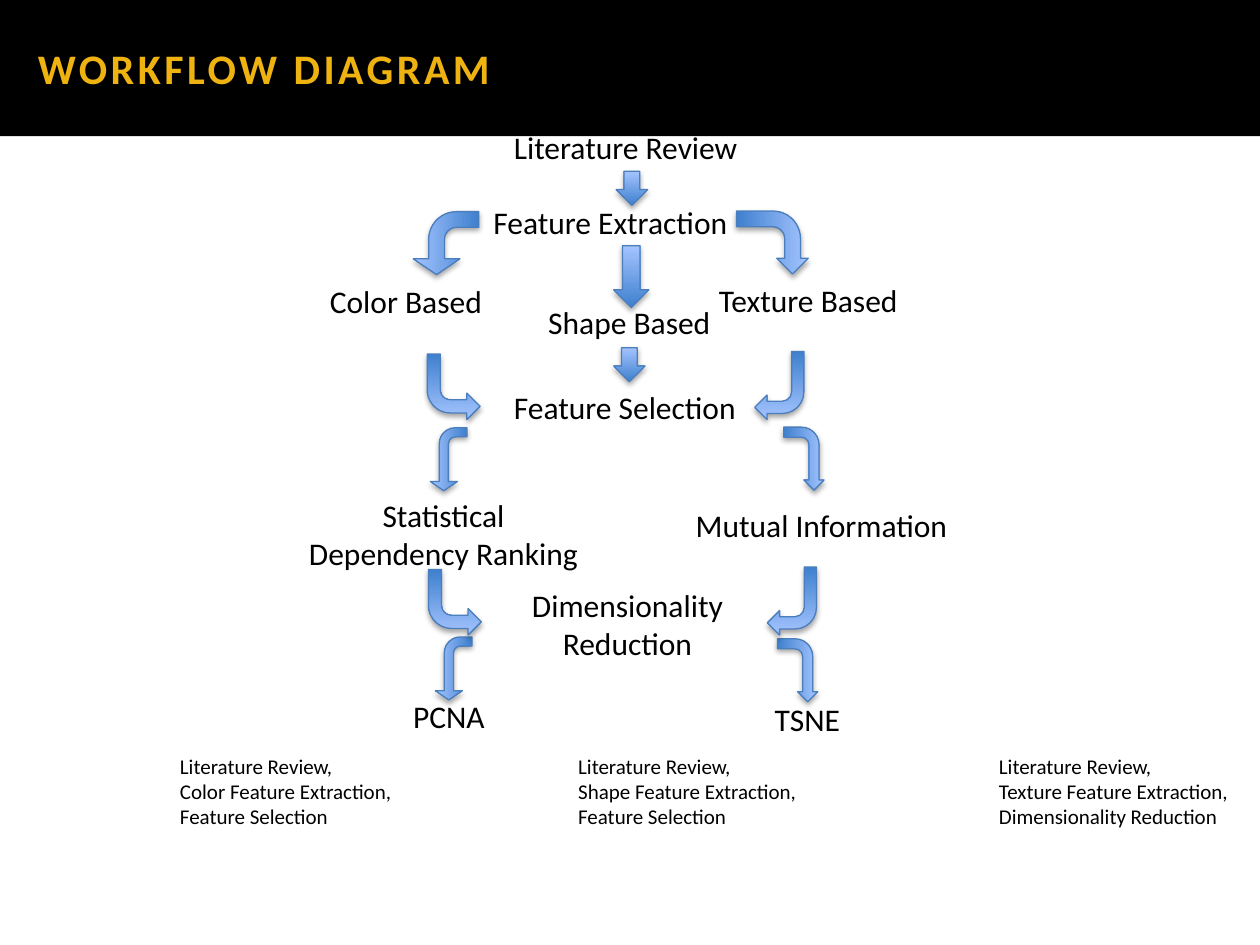
from lxml.etree import SubElement
from pptx import Presentation
from pptx.dml.color import RGBColor
from pptx.enum.shapes import MSO_SHAPE
from pptx.enum.text import MSO_ANCHOR, MSO_AUTO_SIZE, PP_ALIGN
from pptx.oxml.ns import qn
from pptx.util import Inches, Pt

PX = Inches(1) // 100
COLORS = {"bar": "000000", "title": "EEB211", "text": "000000", "shadow": "000000",
          "arrow_dark": "3F80CE", "arrow_light": "A4C4FF", "arrow_line": "4B7EBC"}
LEFT, CENTER = PP_ALIGN.LEFT, PP_ALIGN.CENTER

# Text, alignment and box within the diagram
NODES = [
    ("Literature Review", LEFT, (174, 0, 205, 40)),
    ("Feature Extraction", CENTER, (142, 59, 237, 40)),
    ("Color Based", LEFT, (28, 122, 147, 40)),
    ("Shape Based", CENTER, (197, 139, 157, 40)),
    ("Texture Based", CENTER, (330, 121, 175, 40)),
    ("Feature Selection", LEFT, (174, 206, 202, 40)),
    ("Statistical\nDependency Ranking", CENTER, (0, 292, 256, 71)),
    ("Mutual Information", CENTER, (296, 300, 264, 40)),
    ("Dimensionality Reduction", CENTER, (173, 363, 202, 71)),
    ("PCNA", LEFT, (94, 451, 90, 40)),
    ("TSNE", LEFT, (381, 454, 90, 40)),
]

# Arrow style and its boxes within the diagram
ARROWS = {
    "down": [(265, 39, 25, 27), (263, 98, 28, 49), (263, 179, 25, 27)],
    "split_left": [(105, 70, 50, 52), (107, 253, 50, 29), (111, 419, 50, 29)],
    "split_right": [(364, 67, 50, 57), (389, 251, 50, 32), (384, 419, 50, 32)],
    "join_left": [(115, 184, 42, 52), (116, 355, 42, 52)],
    "join_right": [(375, 182, 39, 54), (385, 353, 39, 54)],
}
ARROW_STYLES = {
    "down": {"preset": MSO_SHAPE.DOWN_ARROW},
    "split_left": {"rotation": 270, "flip": "flipH",
                   "adjustments": (0.25, 0.37, 0.25, 0.44)},
    "split_right": {"rotation": 90},
    "join_left": {"flip": "flipV"},
    "join_right": {"rotation": 180},
}

# Left and width within the summary row, and the text
SUMMARIES = [
    (0, 201, "Literature Review,\nColor Feature Extraction,\nFeature Selection"),
    (316, 201, "Literature Review,\nShape Feature Extraction,\nFeature Selection"),
    (650, 217, "Literature Review,\nTexture Feature Extraction,\nDimensionality Reduction"),
]


def rgb(name):
    return RGBColor.from_string(COLORS[name])


def set_attributes(target, values):
    for name, value in values.items():
        setattr(target, name, value)


def place(origin, box):
    """Shift a box by its region's origin and return it in EMU."""
    left, top, width, height = box
    return [value * PX for value in (origin[0] + left, origin[1] + top, width, height)]


def add_label(slide, bounds, text, size, alignment):
    frame = slide.shapes.add_textbox(*bounds).text_frame
    frame.word_wrap = True
    frame.text = text
    for paragraph in frame.paragraphs:
        paragraph.alignment = alignment
        set_attributes(paragraph.font, {"name": "Calibri", "size": Pt(size)})
        paragraph.font.color.rgb = rgb("text")


def add_soft_shadow(shape):
    shape.shadow.inherit = False
    effects = shape._element.spPr.find(qn("a:effectLst"))
    shadow = SubElement(effects, qn("a:outerShdw"), blurRad=str(Pt(3.1)),
                        dist=str(Pt(1.8)), dir="5400000", rotWithShape="0")
    color = SubElement(shadow, qn("a:srgbClr"), val=COLORS["shadow"])
    SubElement(color, qn("a:alpha"), val="35000")


def add_arrow(slide, bounds, preset=MSO_SHAPE.BENT_ARROW, rotation=0, flip=None,
              adjustments=()):
    arrow = slide.shapes.add_shape(preset, *bounds)
    arrow.rotation = rotation
    if flip:
        arrow._element.spPr.xfrm.set(flip, "1")
    for index, value in enumerate(adjustments):
        arrow.adjustments[index] = value
    arrow.fill.gradient()
    arrow.fill.gradient_angle = 90
    for stop, name in zip(arrow.fill.gradient_stops, ("arrow_dark", "arrow_light")):
        stop.color.rgb = rgb(name)
    arrow.line.color.rgb = rgb("arrow_line")
    arrow.line.width = Pt(0.75)
    add_soft_shadow(arrow)


def add_header(slide, box):
    title = slide.shapes.title
    bounds = place((0, 0), box)
    set_attributes(title, dict(zip(("left", "top", "width", "height"), bounds)))
    title.fill.solid()
    title.fill.fore_color.rgb = rgb("bar")
    frame = title.text_frame
    frame.text = "WORKFLOW DIAGRAM"
    set_attributes(frame, {"margin_left": 30 * PX, "vertical_anchor": MSO_ANCHOR.MIDDLE,
                           "auto_size": MSO_AUTO_SIZE.NONE, "word_wrap": True})
    paragraph = frame.paragraphs[0]
    paragraph.alignment = LEFT
    run = paragraph.runs[0]
    set_attributes(run.font, {"name": "Calibri", "size": Pt(24), "bold": True})
    run.font.color.rgb = rgb("title")
    run._r.get_or_add_rPr().set("spc", "200")


def add_workflow(slide, origin):
    for text, alignment, box in NODES:
        add_label(slide, place(origin, box), text, 18, alignment)
    for style, boxes in ARROWS.items():
        for box in boxes:
            add_arrow(slide, place(origin, box), **ARROW_STYLES[style])


def add_summaries(slide, origin):
    for left, width, text in SUMMARIES:
        add_label(slide, place(origin, (left, 0, width, 71)), text, 12, LEFT)


def main():
    presentation = Presentation()
    presentation.slide_width, presentation.slide_height = 1000 * PX, 750 * PX
    slide = presentation.slides.add_slide(presentation.slide_layouts[5])
    add_header(slide, (0, 0, 1000, 108))
    add_workflow(slide, (224, 97))
    add_summaries(slide, (133, 593))
    presentation.save("out.pptx")


if __name__ == "__main__":
    main()
